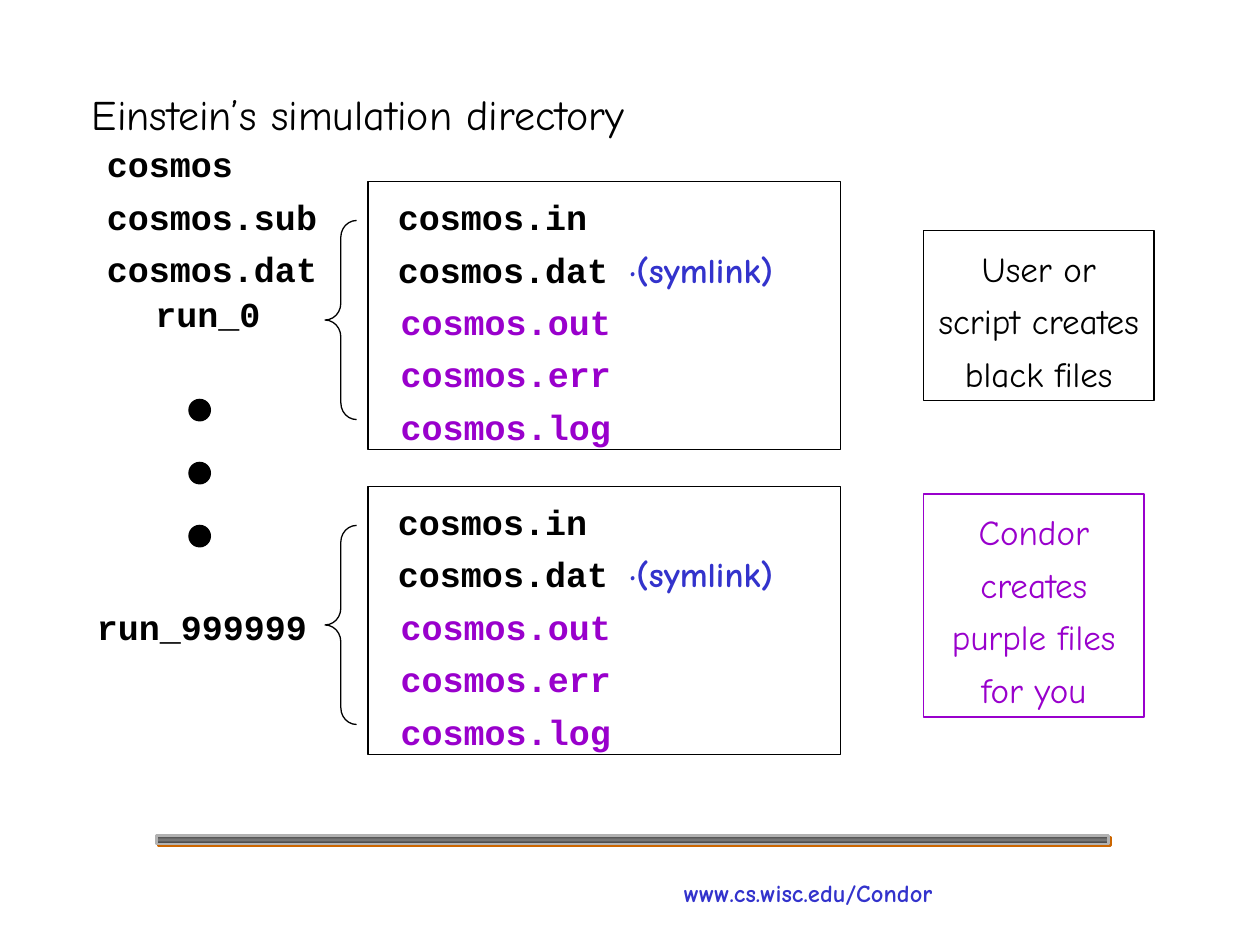
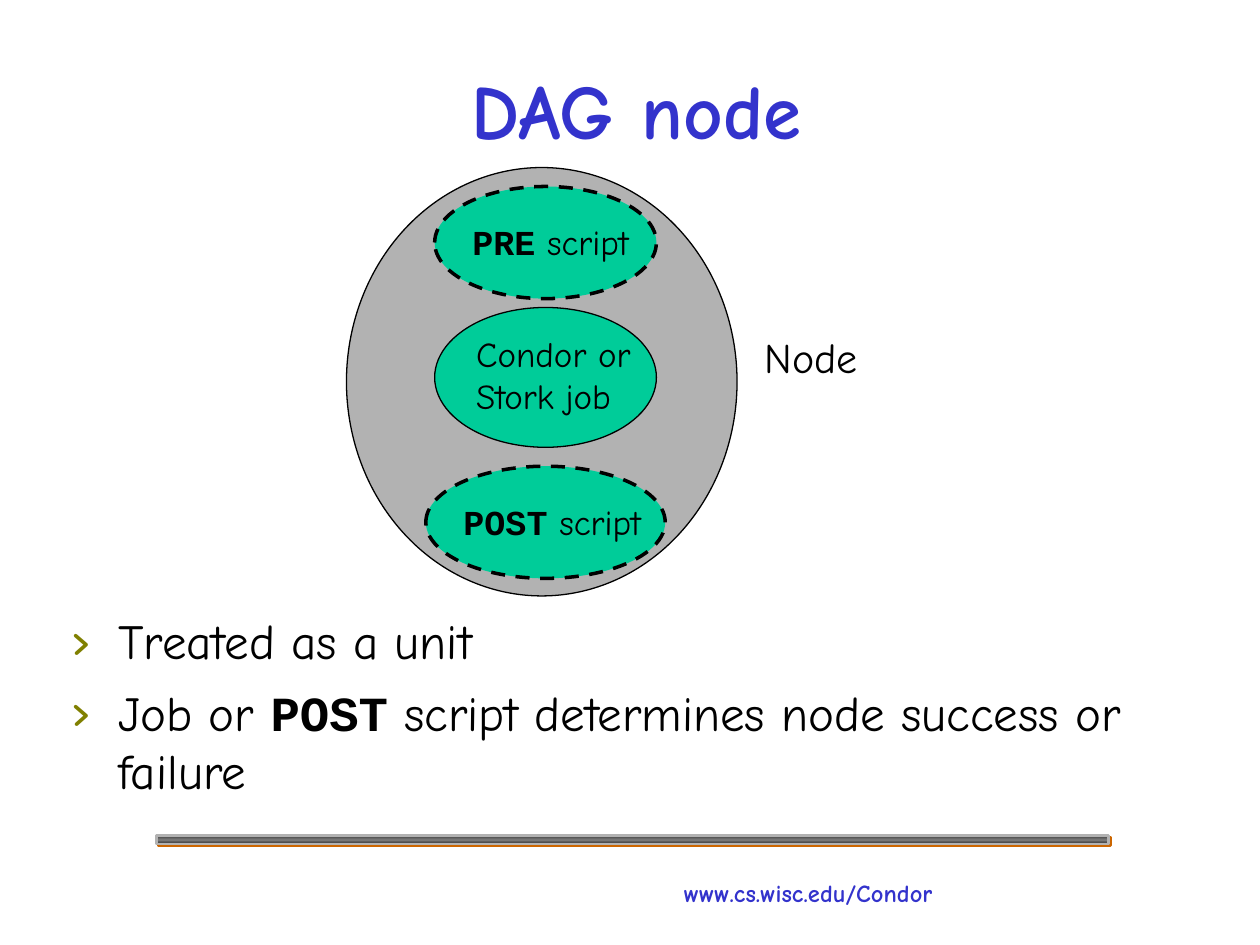
from copy import deepcopy

from pptx import Presentation
from pptx.dml.color import RGBColor
from pptx.enum.dml import MSO_LINE
from pptx.enum.shapes import MSO_SHAPE
from pptx.enum.text import MSO_ANCHOR, MSO_AUTO_SIZE, PP_ALIGN
from pptx.oxml import parse_xml
from pptx.oxml.ns import nsdecls, qn
from pptx.util import Inches, Pt

# Shared look
SANS, MONO = "Comic Neue", "Courier New"
BLACK, BLUE, PURPLE = "000000", "3333CC", "9900CC"
GREY, GREEN, OLIVE, ORANGE = "B2B2B2", "00CC99", "808000", "CC6600"
BAR_DARK, BAR_LIGHT = "363636", "777777"
LOOSE = 1.25
CENTER = PP_ALIGN.CENTER
CODE = dict(size=20, font=MONO, bold=True, spacing=LOOSE)


def color(hex_code):
    return RGBColor.from_string(hex_code)


def add_bullet(paragraph):
    props = paragraph._p.get_or_add_pPr()
    props.set("marL", str(Inches(0.37)))
    props.set("indent", str(-Inches(0.37)))
    for xml in (f'<a:buClr {nsdecls("a")}><a:srgbClr val="{OLIVE}"/></a:buClr>',
                f'<a:buSzPct {nsdecls("a")} val="120000"/>',
                f'<a:buFont {nsdecls("a")} typeface="{SANS}"/>',
                f'<a:buChar {nsdecls("a")} char="›"/>'):
        props.append(parse_xml(xml))


def write(shape, paragraphs, size=20, font=SANS, ink=BLACK, bold=False,
          align=PP_ALIGN.LEFT, spacing=None, gap=0, bullets=False,
          wrap=True, grow=True, anchor=MSO_ANCHOR.TOP):
    """Fill a shape; a paragraph is a string or a list of (text, overrides)."""
    frame = shape.text_frame
    frame.word_wrap = wrap
    frame.auto_size = MSO_AUTO_SIZE.SHAPE_TO_FIT_TEXT if grow else MSO_AUTO_SIZE.NONE
    frame.vertical_anchor = anchor
    for index, content in enumerate(paragraphs):
        paragraph = frame.add_paragraph() if index else frame.paragraphs[0]
        if bullets:
            add_bullet(paragraph)
        paragraph.alignment = align
        if spacing:
            paragraph.line_spacing = spacing
        if index and gap:
            paragraph.space_before = Pt(gap)
        runs = [(content, {})] if isinstance(content, str) else content
        for words, changes in runs:
            look = dict(font=font, ink=ink, bold=bold) | changes
            run = paragraph.add_run()
            run.text = words
            run.font.size = Pt(size)
            run.font.name = look["font"]
            run.font.bold = look["bold"]
            run.font.color.rgb = color(look["ink"])
    return shape


def add_text(slide, box, paragraphs, **style):
    textbox = slide.shapes.add_textbox(*map(Inches, box))
    return write(textbox, paragraphs, **style)


def draw(slide, kind, box, fill=None, line=BLACK, weight=0.75, dashed=False):
    shape = slide.shapes.add_shape(kind, *map(Inches, box))
    shape.shadow.inherit = False
    if fill:
        shape.fill.solid()
        shape.fill.fore_color.rgb = color(fill)
    else:
        shape.fill.background()
    shape.line.color.rgb = color(line)
    shape.line.width = Pt(weight)
    if dashed:
        shape.line.dash_style = MSO_LINE.DASH
    return shape


def add_footer(slide):
    # Web address
    add_text(slide, (5.33, 6.92, 2.4, 0.34), ["www.cs.wisc.edu/Condor"],
             size=14, ink=BLUE, bold=True)
    # Metal bar with a hard shadow
    bar = draw(slide, MSO_SHAPE.RECTANGLE, (1.24, 6.63, 7.56, 0.07),
               line=GREY, weight=1.5)
    bar.fill.gradient()
    bar.fill.gradient_angle = 90
    edge, middle = bar.fill.gradient_stops
    edge.color.rgb, edge.position = color(BAR_DARK), 0
    middle.color.rgb, middle.position = color(BAR_LIGHT), 0.5
    props = bar._element.spPr
    stops = next(props.iter(qn("a:gsLst")))
    far_edge = deepcopy(stops[0])
    far_edge.set("pos", "100000")
    stops.append(far_edge)
    props.find(qn("a:effectLst")).append(parse_xml(
        f'<a:outerShdw {nsdecls("a")} dist="{Pt(1.4)}" dir="2700000" algn="ctr">'
        f'<a:srgbClr val="{ORANGE}"/></a:outerShdw>'))


def add_run_files(slide, left, top):
    """Frame listing one run directory, with its brace on the left."""
    brace = draw(slide, MSO_SHAPE.LEFT_BRACE, (left - 0.34, top + 0.31, 0.25, 1.58))
    brace.adjustments[0] = 0.53
    draw(slide, MSO_SHAPE.RECTANGLE, (left, top, 3.75, 2.13))
    symlink = [("cosmos.dat ", {}), ("·(symlink)", dict(font=SANS, ink=BLUE))]
    add_text(slide, (left + 0.14, top - 0.02, 3.39, 0.94),
             ["cosmos.in", symlink], **CODE)
    add_text(slide, (left + 0.16, top + 0.81, 1.87, 1.35),
             ["cosmos.out", "cosmos.err", "cosmos.log"],
             ink=PURPLE, align=CENTER, wrap=False, **CODE)


def add_note(slide, box, paragraphs, ink):
    note = draw(slide, MSO_SHAPE.RECTANGLE, box, line=ink)
    write(note, paragraphs, ink=ink, align=CENTER, spacing=LOOSE)


def build_directory(slide):
    add_footer(slide)
    add_text(slide, (0.62, 0.55, 4.44, 0.6), ["Einstein’s simulation directory"],
             size=24, align=CENTER, spacing=LOOSE, wrap=False)
    # Top-level files and run directories
    add_text(slide, (0.75, 1, 3.03, 1.35),
             ["cosmos", "cosmos.sub", "cosmos.dat"], **CODE)
    add_text(slide, (1.05, 2.19, 1.2, 0.52), ["run_0"], align=CENTER, **CODE)
    add_text(slide, (0.67, 4.67, 1.87, 0.52), ["run_999999"], wrap=False, **CODE)
    for step in range(3):
        draw(slide, MSO_SHAPE.OVAL, (1.5, 3.17 + step * 0.5, 0.17, 0.17), fill=BLACK)
    # Contents of the first and last run
    for top in (1.44, 3.86):
        add_run_files(slide, 2.92, top)
    # Who creates which files
    add_note(slide, (7.33, 1.83, 1.83, 1.35),
             ["User or script creates black files"], BLACK)
    add_note(slide, (7.33, 3.92, 1.75, 1.77),
             ["Condor creates purple files", "for you"], PURPLE)


def add_dag_node(slide, left, top):
    """Grey node holding the scripts and the job."""
    draw(slide, MSO_SHAPE.OVAL, (left, top, 3.1, 3.4), fill=GREY)
    center = left + 1.58
    code = dict(font=MONO, bold=True)
    # Offset from top, ellipse size, text offset and size, text, dashed outline
    parts = [
        (0.15, 1.76, 0.89, -0.68, 0.22, 1.44, 0.44,
         [[("PRE", code), (" script", {})]], True),
        (1.11, 1.76, 1.11, -0.65, 0.15, 1.43, 0.77,
         ["Condor or", "Stork job"], False),
        (2.37, 1.9, 0.89, -0.75, 0.22, 1.61, 0.44,
         [[("POST", code), (" script", {})]], True),
    ]
    for offset, width, height, text_dx, text_dy, text_w, text_h, label, dashed in parts:
        y = top + offset
        draw(slide, MSO_SHAPE.OVAL, (center - width / 2, y, width, height),
             fill=GREEN, weight=2 if dashed else 0.75, dashed=dashed)
        add_text(slide, (center + text_dx, y + text_dy, text_w, text_h),
                 label, wrap=False)
    add_text(slide, (left + 3.22, top + 1.25, 0.94, 0.5), ["Node"],
             size=24, wrap=False)


def build_dag(slide):
    add_footer(slide)
    add_text(slide, (0.8, 0.28, 8.5, 1), ["DAG node"], size=44, ink=BLUE,
             bold=True, align=CENTER, grow=False, anchor=MSO_ANCHOR.BOTTOM)
    add_text(slide, (0.47, 4.8, 9, 1.83),
             ["Treated as a unit",
              [("Job or ", {}), ("POST", dict(font=MONO, bold=True)),
               (" script determines node success or failure", {})]],
             size=28, gap=7, bullets=True, grow=False)
    add_dag_node(slide, 2.75, 1.33)


def main():
    deck = Presentation()
    deck.slide_width, deck.slide_height = Inches(10), Inches(7.5)
    for build in (build_directory, build_dag):
        build(deck.slides.add_slide(deck.slide_layouts[6]))
    deck.save("out.pptx")


if __name__ == "__main__":
    main()
